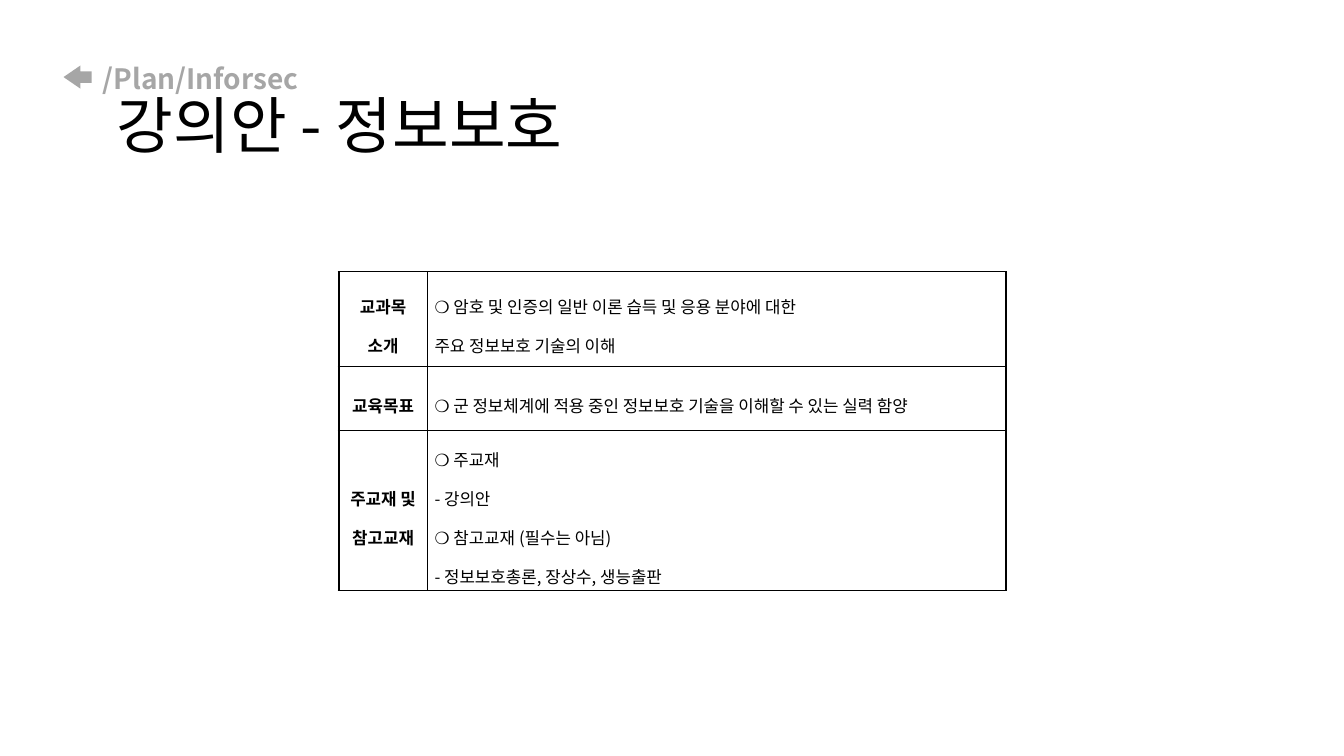
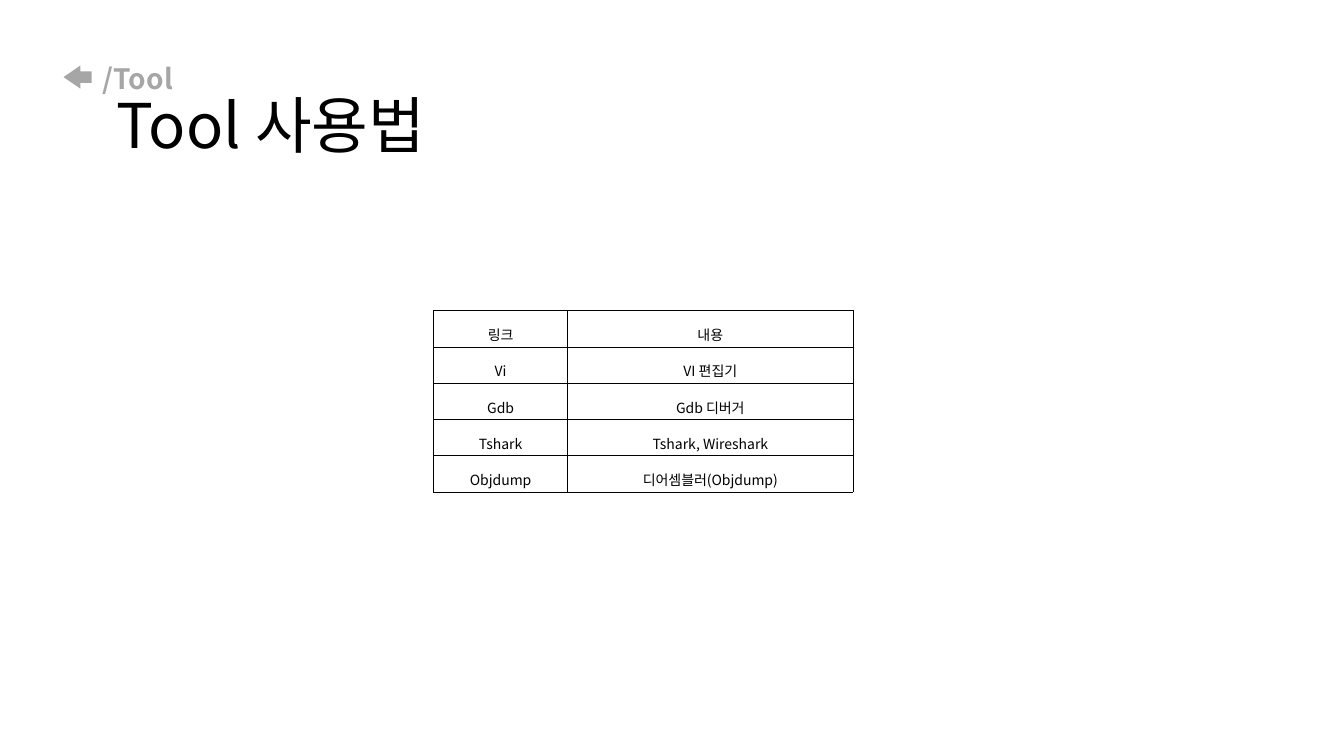
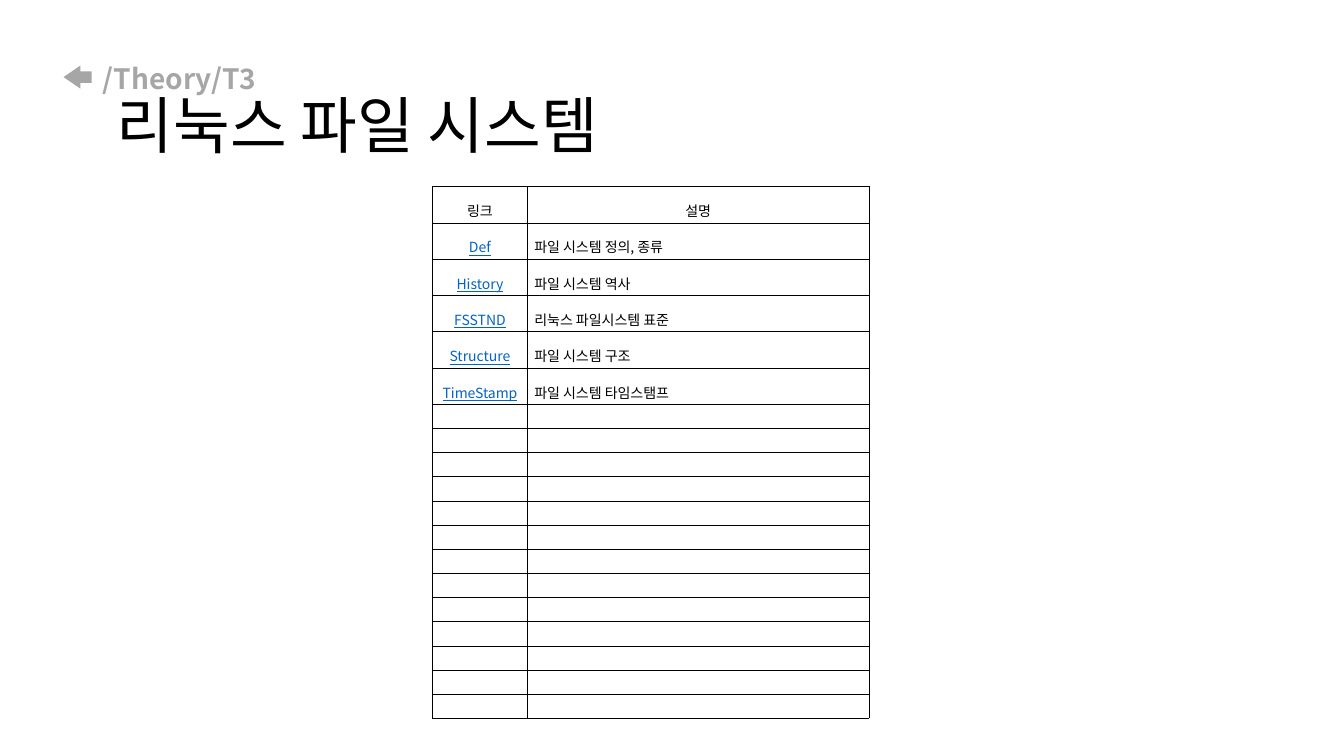
from lxml.etree import SubElement
from pptx import Presentation
from pptx.dml.color import RGBColor
from pptx.enum.shapes import MSO_SHAPE
from pptx.enum.text import MSO_ANCHOR, MSO_AUTO_SIZE, PP_ALIGN
from pptx.oxml import parse_xml
from pptx.oxml.ns import nsdecls, qn
from pptx.util import Inches, Pt

FONT = "Noto Sans CJK KR"
BLACK, GRAY, BLUE = "000000", "A6A6A6", "0563C1"
THIN, THICK = 0.28, 1.7
LEFT, MID, JUST = PP_ALIGN.LEFT, PP_ALIGN.CENTER, PP_ALIGN.JUSTIFY


def add_run(par, text, size, color=BLACK, bold=False, line=False):
    run = par.add_run()
    run.text = text
    font = run.font
    font.size, font.bold, font.underline = Pt(size), bold, line
    font.color.rgb = RGBColor.from_string(color)
    font.name = FONT
    SubElement(font._element, qn("a:ea")).set("typeface", FONT)


def set_edges(cell, left, right):
    """Draw all four borders of a cell, given the widths of its sides."""
    props = cell._tc.get_or_add_tcPr()
    widths = {"lnL": left, "lnR": right, "lnT": THIN, "lnB": THIN}
    for spot, (tag, width) in enumerate(widths.items()):
        props.insert(spot, parse_xml(
            f'<a:{tag} {nsdecls("a")} w="{Pt(width)}"><a:solidFill>'
            f'<a:srgbClr val="{BLACK}"/></a:solidFill></a:{tag}>'))


plan = [
    ("교과목\n소개", "❍ 암호 및 인증의 일반 이론 습득 및 응용 분야에 대한\n주요 정보보호 기술의 이해"),
    ("교육목표", "❍ 군 정보체계에 적용 중인 정보보호 기술을 이해할 수 있는 실력 함양"),
    ("주교재 및\n참고교재",
     "❍ 주교재\n- 강의안\n❍ 참고교재 (필수는 아님)\n- 정보보호총론, 장상수, 생능출판"),
]
tools = [
    ("링크", "내용"),
    ("Vi", "VI 편집기"),
    ("Gdb", "Gdb 디버거"),
    ("Tshark", "Tshark, Wireshark"),
    ("Objdump", "디어셈블러(Objdump)"),
]
files = [
    ("링크", "설명"),
    ("Def", "파일 시스템 정의, 종류"),
    ("History", "파일 시스템 역사"),
    ("FSSTND", "리눅스 파일시스템 표준"),
    ("Structure", "파일 시스템 구조"),
    ("TimeStamp", "파일 시스템 타임스탬프"),
] + [("", "")] * 13

pages = [
    dict(route="/Plan/Inforsec", title="강의안 - 정보보호", rows=plan, at=(3.36, 2.69),
         cols=(0.88, 5.74), tall=(0.94, 0.64, 1.59), size=12, align=JUST,
         bold=True, links=False, side=THICK),
    dict(route="/Tool", title="Tool 사용법", rows=tools, at=(4.3, 3.08),
         cols=(1.33, 2.83), tall=[0.36] * 5, size=10, align=MID,
         bold=False, links=False, side=THIN),
    dict(route="/Theory/T3", title="리눅스 파일 시스템", rows=files, at=(4.29, 1.85),
         cols=(0.94, 3.39), tall=[0.36] * 6 + [0.24] * 13, size=10, align=LEFT,
         bold=False, links=True, side=THIN),
]

deck = Presentation()
deck.slide_width, deck.slide_height = Inches(13.33), Inches(7.5)
layout = deck.slide_layouts[5]
head = layout.placeholders[0]
head.left, head.top = Inches(0.92), Inches(0.4)
head.width, head.height = Inches(11.5), Inches(1.45)

for page in pages:
    slide = deck.slides.add_slide(layout)

    frame = slide.shapes.title.text_frame
    frame.auto_size = MSO_AUTO_SIZE.NONE
    frame.vertical_anchor = MSO_ANCHOR.MIDDLE
    par = frame.paragraphs[0]
    par.alignment, par.line_spacing = LEFT, 0.9
    add_run(par, page["route"], 20, GRAY, bold=True)
    par.add_line_break()
    add_run(par, " " + page["title"], 44)

    arrow = slide.shapes.add_shape(
        MSO_SHAPE.LEFT_ARROW, Inches(0.63), Inches(0.65), Inches(0.28), Inches(0.23))
    arrow.adjustments[1] = 0.73
    arrow.shadow.inherit = False
    arrow.fill.solid()
    arrow.fill.fore_color.rgb = RGBColor.from_string(GRAY)
    arrow.line.fill.background()

    rows, cols, tall, size = page["rows"], page["cols"], page["tall"], page["size"]
    left, top = page["at"]
    table = slide.shapes.add_table(
        len(rows), 2, Inches(left), Inches(top),
        Inches(sum(cols)), Inches(sum(tall))).table
    table.first_row = table.horz_banding = False
    for col, width in zip(table.columns, cols):
        col.width = Inches(width)
    for r, texts in enumerate(rows):
        table.rows[r].height = Inches(tall[r])
        for c, text in enumerate(texts):
            cell = table.cell(r, c)
            cell.fill.background()
            cell.vertical_anchor = MSO_ANCHOR.MIDDLE
            cell.margin_left = cell.margin_right = Inches(0.07)
            cell.margin_top = cell.margin_bottom = Inches(0.02)
            set_edges(cell, page["side"] if c == 0 else THIN,
                      page["side"] if c == 1 else THIN)
            if not text:
                end = cell.text_frame.paragraphs[0]._p.get_or_add_endParaRPr()
                end.set("sz", str(size * 100))
                continue
            label = c == 0
            header = r == 0 and not page["bold"]
            link = page["links"] and label and not header
            for n, line in enumerate(text.split("\n")):
                frame = cell.text_frame
                par = frame.add_paragraph() if n else frame.paragraphs[0]
                par.alignment = MID if label or header else page["align"]
                par.line_spacing = 1.6
                add_run(par, line, size, BLUE if link else BLACK,
                        bold=page["bold"] and label, line=link)

deck.save("out.pptx")
